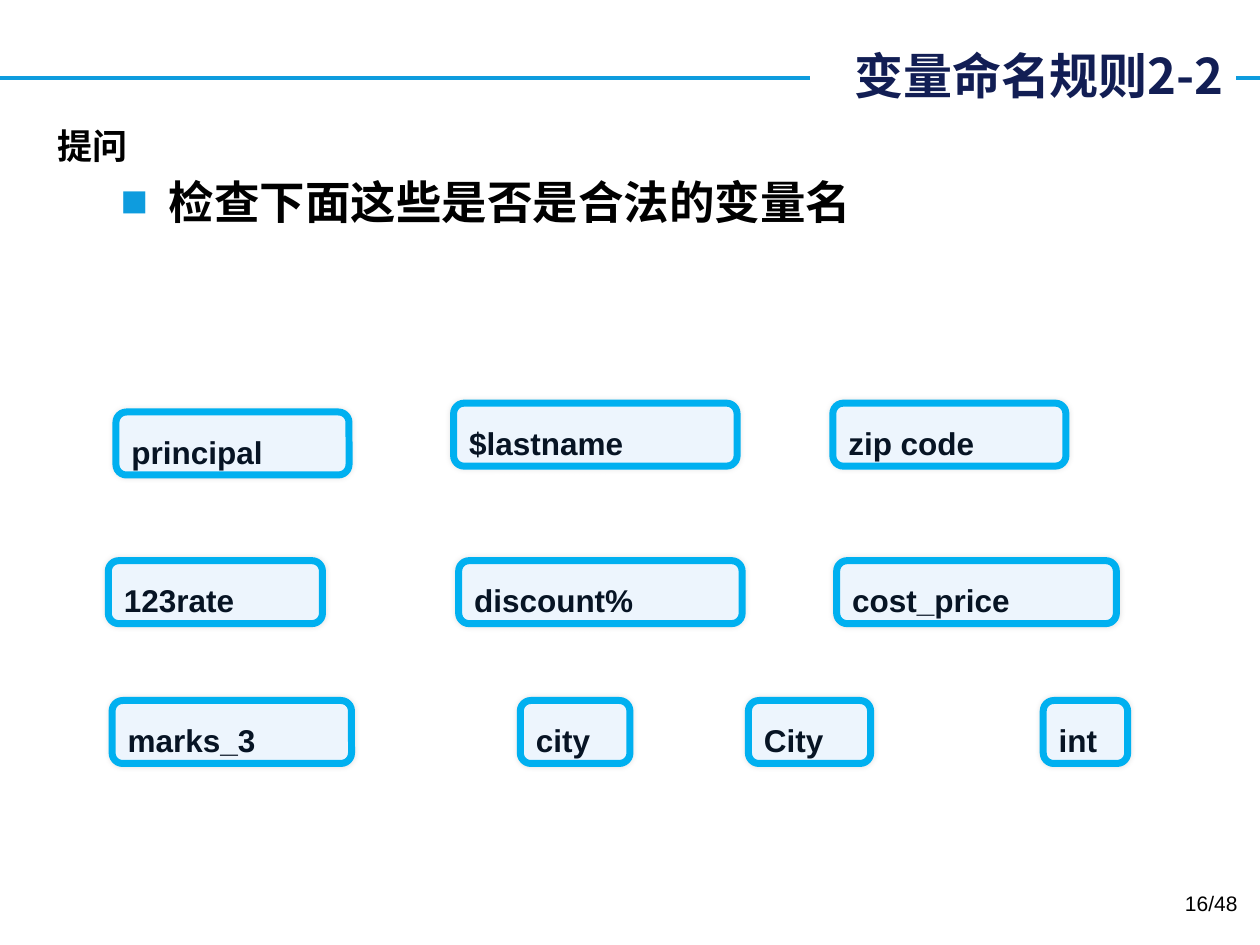
from lxml.etree import SubElement as add_element
from pptx import Presentation
from pptx.dml.color import RGBColor
from pptx.enum.shapes import MSO_CONNECTOR as Connector, MSO_SHAPE as Shape
from pptx.enum.text import MSO_ANCHOR as Anchor, PP_ALIGN as Align
from pptx.oxml.ns import qn
from pptx.util import Inches, Pt

SKY = RGBColor(0x0E, 0x9C, 0xDE)
NAVY = RGBColor(0x12, 0x1E, 0x54)
INK = RGBColor(0x07, 0x14, 0x24)
BLACK = RGBColor(0, 0, 0)
WHITE = RGBColor(0xFF, 0xFF, 0xFF)
FRAME = RGBColor(0x00, 0xB0, 0xF0)
PALE = RGBColor(0xED, 0xF5, 0xFD)

LATIN = "Arial"
CHINESE = "Noto Sans CJK SC"
COLUMNS, ROWS = 100, 75

NAME_ROWS = [
    (32, [("$lastname", 36, 22.5), ("zip code", 66.1, 18.5)]),
    (32.7, [("principal", 9.2, 18.5)]),
    (44.5, [("123rate", 8.6, 17), ("discount%", 36.4, 22.5), ("cost_price", 66.4, 22.2)]),
    (55.6, [("marks_3", 8.9, 19), ("city", 41.3, 8.7), ("City", 59.4, 9.7), ("int", 82.8, 6.7)]),
]


class SlideBuilder:
    def __init__(self, deck):
        self.page = deck.slides.add_slide(deck.slide_layouts[6])
        self.column = deck.slide_width / COLUMNS
        self.row = deck.slide_height / ROWS

    def place(self, left, top, width, height):
        return (round(left * self.column), round(top * self.row),
                round(width * self.column), round(height * self.row))

    def fill_text(self, box, text, size, color, bold=True, font=LATIN, align=Align.LEFT):
        box.text_frame.text = text
        para = box.text_frame.paragraphs[0]
        para.alignment = align
        span = para.runs[0]
        span.font.size = Pt(size)
        span.font.bold = bold
        span.font.name = font
        span.font.color.rgb = color
        latin = span.font._element.find(qn("a:latin"))
        east_asian = add_element(span.font._element, qn("a:ea"), typeface=CHINESE)
        latin.addnext(east_asian)
        return para

    def add_shadow(self, effects, blur, distance, angle, opacity):
        shadow = add_element(effects, qn("a:outerShdw"), blurRad=str(Pt(blur)),
                             dist=str(Pt(distance)), dir=str(angle * 60000))
        color = add_element(shadow, qn("a:srgbClr"), val=str(BLACK))
        add_element(color, qn("a:alpha"), val=str(opacity * 1000))

    def rule(self, row):
        top = round(row * self.row)
        line = self.page.shapes.add_connector(
            Connector.STRAIGHT, 0, top, round(COLUMNS * self.column), top)
        line.line.color.rgb = SKY
        line.line.width = Pt(2.25)
        add_element(line._element.spPr, qn("a:effectLst"))

    def title(self, text, *area):
        box = self.page.shapes.add_shape(Shape.RECTANGLE, *self.place(*area))
        box.shadow.inherit = False
        box.fill.solid()
        box.fill.fore_color.rgb = WHITE
        box.line.fill.background()
        box.text_frame.vertical_anchor = Anchor.MIDDLE
        self.fill_text(box, text, 28, NAVY, font=CHINESE, align=Align.RIGHT)

    def text(self, text, size, *area, wrap=True, **style):
        box = self.page.shapes.add_textbox(*self.place(*area))
        box.text_frame.word_wrap = wrap
        return self.fill_text(box, text, size, BLACK, **style)

    def bullet(self, text, *area):
        para = self.text(text, 26, *area)
        properties = para._p.get_or_add_pPr()
        properties.set("marL", str(Inches(0.38)))
        properties.set("indent", str(Inches(-0.38)))
        color = add_element(properties, qn("a:buClr"))
        add_element(color, qn("a:srgbClr"), val=str(SKY))
        add_element(properties, qn("a:buFont"), typeface=LATIN)
        add_element(properties, qn("a:buChar"), char="■")

    def label(self, text, *area):
        para = self.text(text, 20, *area, wrap=False, font=CHINESE)
        properties = para.runs[0].font._element
        effects = add_element(properties, qn("a:effectLst"))
        properties.find(qn("a:solidFill")).addnext(effects)
        self.add_shadow(effects, 3, 2, 45, 43)

    def name_card(self, text, *area):
        card = self.page.shapes.add_shape(Shape.ROUNDED_RECTANGLE, *self.place(*area))
        card.adjustments[0] = 0.167
        card.fill.solid()
        card.fill.fore_color.rgb = PALE
        card.line.color.rgb = FRAME
        card.line.width = Pt(4)
        card.shadow.inherit = False
        self.add_shadow(card._element.spPr.find(qn("a:effectLst")), 3, 0, 0, 10)
        card.text_frame.vertical_anchor = Anchor.TOP
        self.fill_text(card, text, 18, INK).line_spacing = 1.3


def main():
    deck = Presentation()
    deck.slide_width, deck.slide_height = Inches(10), Inches(7.5)
    builder = SlideBuilder(deck)
    builder.rule(6.2)
    builder.title("变量命名规则2-2", 64.3, 3.1, 33.8, 5.7)
    builder.bullet("检查下面这些是否是合法的变量名", 8.6, 13.3, 83.6, 56.2)
    for top, names in NAME_ROWS:
        for name, left, width in names:
            builder.name_card(name, left, top, width, 5)
    builder.label("提问", 3.6, 9.4, 7.7, 4.4)
    builder.text("16/48", 12, 75.9, 70.2, 23.3, 4, bold=False, align=Align.RIGHT)
    deck.save("out.pptx")


if __name__ == "__main__":
    main()
